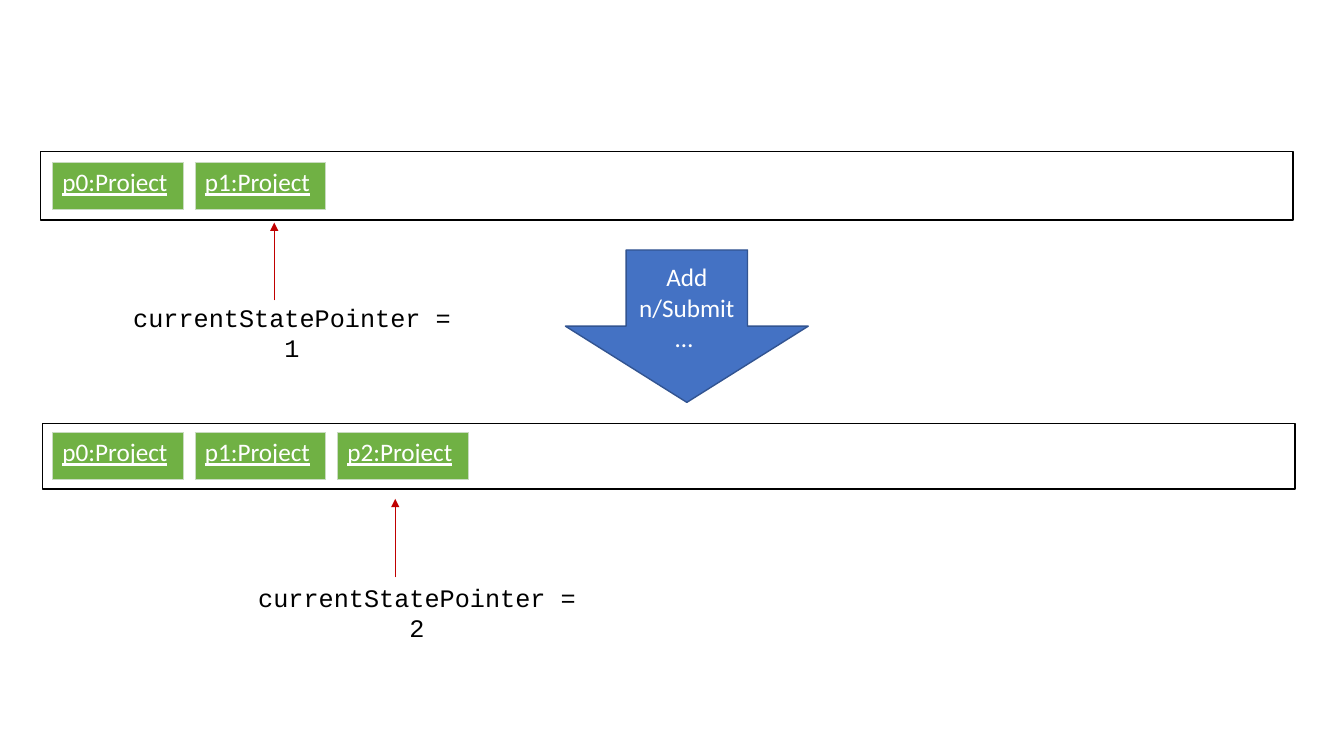
from lxml import etree
from pptx import Presentation
from pptx.dml.color import RGBColor
from pptx.enum.shapes import MSO_CONNECTOR, MSO_SHAPE
from pptx.enum.text import MSO_ANCHOR, PP_ALIGN
from pptx.oxml import parse_xml
from pptx.oxml.ns import qn
from pptx.util import Cm, Pt

RECT, DOWN_ARROW = MSO_SHAPE.RECTANGLE, MSO_SHAPE.DOWN_ARROW
STRAIGHT = MSO_CONNECTOR.STRAIGHT
CENTER, LEFT = PP_ALIGN.CENTER, PP_ALIGN.LEFT
MIDDLE = MSO_ANCHOR.MIDDLE
A_NS = "http://schemas.openxmlformats.org/drawingml/2006/main"

BLACK, WHITE, RED = "000000", "FFFFFF", "C00000"
BLUE, DARK_BLUE = "4472C4", "325491"
GREEN, PALE_GREEN = "70B144", "C9DBC1"

# All lengths are in centimetres.
COMMAND = "Add n/Submit… "
COMMAND_BOX = (14.25, 6.3, 6.12, 3.84)
STATES = [
    {"projects": ["p0:Project", "p1:Project"],
     "frame": (1.02, 3.82, 31.57, 1.73), "project_top": 4.1,
     "pointer": "currentStatePointer = 1", "label_at": (2.9, 7.49),
     "arrow": (6.91, 7.57, 5.61)},
    {"projects": ["p0:Project", "p1:Project", "p2:Project"],
     "frame": (1.07, 10.67, 31.57, 1.65), "project_top": 10.9,
     "pointer": "currentStatePointer = 2", "label_at": (6.05, 14.55),
     "arrow": (9.96, 14.55, 12.57)},
]
PROJECT_LEFT, PROJECT_STEP = 1.32, 3.59
PROJECT_W, PROJECT_H = 3.3, 1.17
LABEL_W, LABEL_H = 8.92, 1.02


def rgb(color):
    """Turn a hex string into a colour."""
    return RGBColor.from_string(color)


def write(tf, text, font, color, align, underline=None):
    """Put one 18 point paragraph into a text frame."""
    tf.text = text
    tf.word_wrap = True
    p = tf.paragraphs[0]
    p.alignment = align
    r = p.runs[0]
    r.font.name, r.font.size = font, Pt(18)
    r.font.color.rgb = rgb(color)
    r.font.underline = underline


def add_box(kind, box, line, fill=None):
    """Add a preset shape with a 1 point outline."""
    s = slide.shapes.add_shape(kind, *map(Cm, box))
    s.shadow.inherit = False
    if fill:
        s.fill.solid()
        s.fill.fore_color.rgb = rgb(fill)
    else:
        s.fill.background()
    s.line.color.rgb = rgb(line)
    s.line.width = Pt(1)
    return s


def add_label(text, left, top):
    """Add a centred code label."""
    s = slide.shapes.add_textbox(Cm(left), Cm(top), Cm(LABEL_W), Cm(LABEL_H))
    write(s.text_frame, text, "Courier New", BLACK, CENTER)


def add_pointer(x, start, end):
    """Add a thin red arrow going up from start to end."""
    s = slide.shapes.add_connector(STRAIGHT, Cm(x), Cm(start), Cm(x), Cm(end))
    s.line.color.rgb = rgb(RED)
    s.line.width = Pt(0.5)
    etree.SubElement(s.line._get_or_add_ln(), qn("a:tailEnd"), type="triangle")
    etree.SubElement(s._element.spPr, qn("a:effectLst"))


def add_project(name, left, top):
    """Add a project object as a table of one cell."""
    table = slide.shapes.add_table(
        1, 1, Cm(left), Cm(top), Cm(PROJECT_W), Cm(PROJECT_H)).table
    cell = table.cell(0, 0)
    write(cell.text_frame, name, "Calibri", WHITE, LEFT, underline=True)
    tc_pr = cell._tc.get_or_add_tcPr()
    for side in ("lnL", "lnR", "lnT", "lnB"):
        tc_pr.append(parse_xml(
            f'<a:{side} xmlns:a="{A_NS}" w="{Pt(0.5)}"><a:solidFill>'
            f'<a:srgbClr val="{PALE_GREEN}"/></a:solidFill></a:{side}>'))
    cell.fill.solid()
    cell.fill.fore_color.rgb = rgb(GREEN)


prs = Presentation()
prs.slide_width, prs.slide_height = Cm(33.87), Cm(19.05)
slide = prs.slides.add_slide(prs.slide_layouts[6])

command = add_box(DOWN_ARROW, COMMAND_BOX, DARK_BLUE, BLUE)
write(command.text_frame, COMMAND, "Calibri", WHITE, CENTER)
command.text_frame.vertical_anchor = MIDDLE

for state in STATES:
    add_box(RECT, state["frame"], BLACK)
    add_label(state["pointer"], *state["label_at"])
    add_pointer(*state["arrow"])
    for i, name in enumerate(state["projects"]):
        add_project(name, PROJECT_LEFT + i * PROJECT_STEP, state["project_top"])

prs.save("out.pptx")
